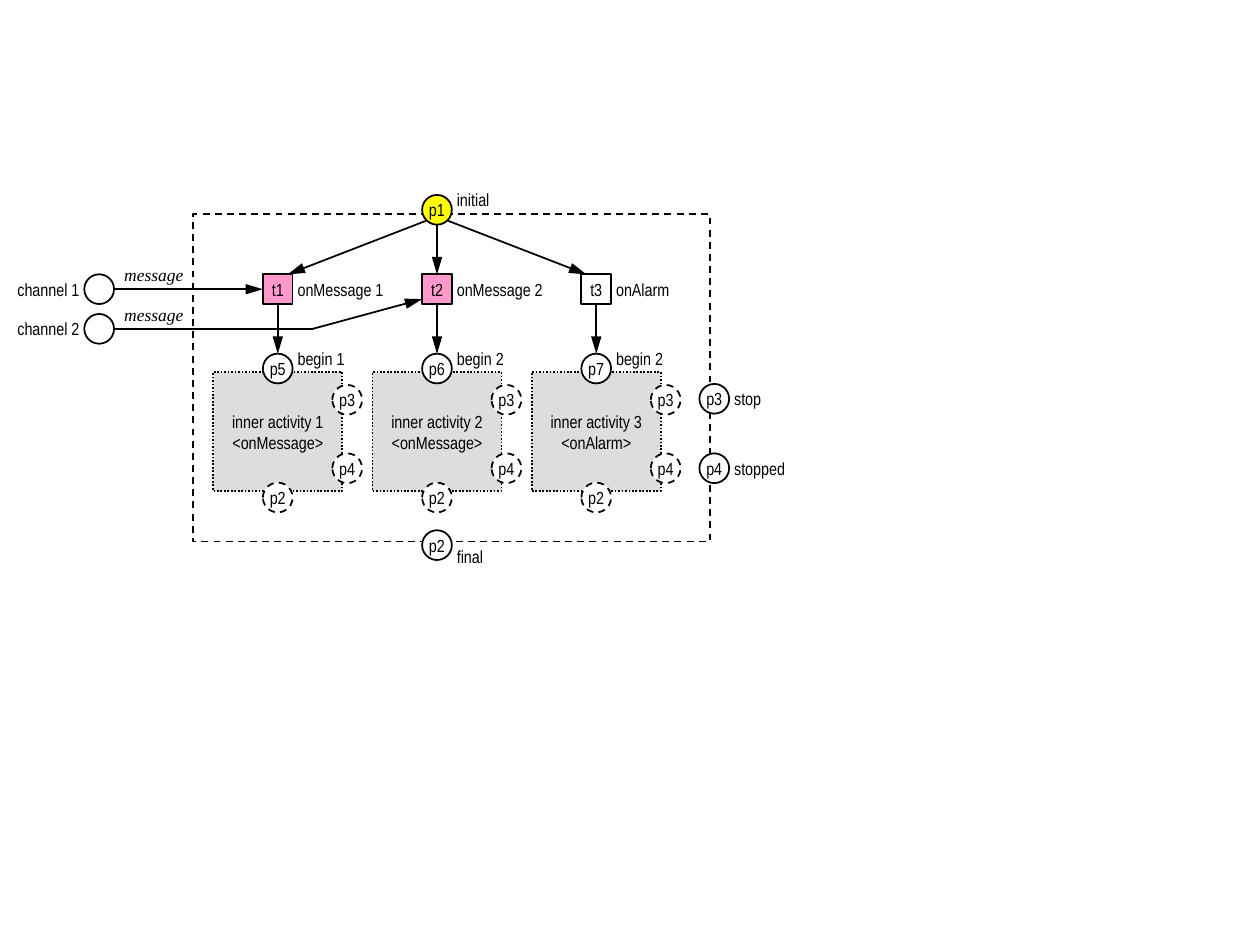
from lxml import etree
from pptx import Presentation
from pptx import util as u
from pptx.dml.color import RGBColor
from pptx.enum import dml, shapes, text
from pptx.oxml.ns import qn

COLORS = {"ink": "000000", "white": "FFFFFF", "start": "FFFF00",
          "message": "FF99CC", "activity": "DDDDDD"}
NODE = 0.6
RECTANGLE, OVAL = shapes.MSO_SHAPE.RECTANGLE, shapes.MSO_SHAPE.OVAL
DASH, DOTS = dml.MSO_LINE.DASH, dml.MSO_LINE.ROUND_DOT
ALIGN = text.PP_ALIGN

presentation = Presentation()
presentation.slide_width, presentation.slide_height = u.Cm(25.4), u.Cm(19.05)
slide = presentation.slides.add_slide(presentation.slide_layouts[6])


def add_box(kind, x, y, caption="", fill="white", dash=None, width=NODE, height=NODE):
    """Add an outlined shape centred on (x, y)."""
    shape = slide.shapes.add_shape(kind, u.Cm(x - width / 2), u.Cm(y - height / 2),
                                   u.Cm(width), u.Cm(height))
    shape.shadow.inherit = False
    if fill:
        shape.fill.solid()
        shape.fill.fore_color.rgb = RGBColor.from_string(COLORS[fill])
    else:
        shape.fill.background()
    shape.line.color.rgb = RGBColor.from_string(COLORS["ink"])
    shape.line.width = u.Pt(1)
    if dash:
        shape.line.dash_style = dash
    if caption:
        frame = shape.text_frame
        frame.word_wrap = False
        frame.vertical_anchor = text.MSO_ANCHOR.MIDDLE
        frame.text = caption
        paragraph = frame.paragraphs[0]
        paragraph.alignment = ALIGN.CENTER
        paragraph.font.name, paragraph.font.size = "Arial Narrow", u.Pt(10)
        paragraph.font.color.rgb = RGBColor.from_string(COLORS["ink"])
    return shape


def add_line(start, end, arrow=True):
    line = slide.shapes.add_connector(shapes.MSO_CONNECTOR.STRAIGHT,
                                      *[u.Cm(value) for value in (*start, *end)])
    line.line.color.rgb = RGBColor.from_string(COLORS["ink"])
    line.line.width = u.Pt(1)
    if arrow:
        etree.SubElement(line.line._get_or_add_ln(), qn("a:tailEnd"),
                         type="triangle", w="med", len="lg")
    etree.SubElement(line._element.spPr, qn("a:effectLst"))
    return line


# Centres of the columns and rows
columns = [5.6, 8.81, 12.02]
middle = columns[1]
start_y, transition_y, begin_y, final_y = 4.23, 5.83, 7.43, 10.99
channel_x, channel_rows = 2.0, [transition_y, 6.63]
outer_x, stop_y, stopped_y = 14.4, 8.04, 9.44

add_box(RECTANGLE, 9.1, 7.62, fill=None, dash=DASH, width=10.42, height=6.6)
add_box(OVAL, middle, start_y, "p1", "start")
add_box(OVAL, middle, final_y, "p2")
add_box(OVAL, outer_x, stop_y, "p3")
add_box(OVAL, outer_x, stopped_y, "p4")

# One branch per column: transition, begin place and inner activity
branches = [("t1", "message", "p5", "inner activity 1\v<onMessage>"),
            ("t2", "message", "p6", "inner activity 2\v<onMessage>"),
            ("t3", "white", "p7", "inner activity 3\v<onAlarm>")]
transitions = []
for x, (transition_name, fill, place_name, activity) in zip(columns, branches):
    transition = add_box(RECTANGLE, x, transition_y, transition_name, fill)
    transitions.append(transition)
    add_box(RECTANGLE, x, 8.7, activity, "activity", DOTS, 2.6, 2.4)
    add_box(OVAL, x, 10.03, "p2", dash=DASH)
    add_box(OVAL, x + 1.4, stopped_y, "p4", dash=DASH)
    add_box(OVAL, x + 1.4, stop_y + 0.02, "p3", dash=DASH)
    place = add_box(OVAL, x, begin_y, place_name)
    arrow = add_line((x, transition_y + NODE / 2), (x, begin_y - NODE / 2))
    arrow.begin_connect(transition, 2)
    arrow.end_connect(place, 0)

# From the initial place to the transitions
for side, x in ((-1, columns[0]), (1, columns[2])):
    add_line((middle + side * 0.22, start_y + 0.22),
             (x - side * 0.2, transition_y - NODE / 2))
add_line((middle, start_y + NODE / 2),
         (middle, transition_y - NODE / 2)).end_connect(transitions[1], 0)

# From the channels to the transitions
for y in channel_rows:
    add_box(OVAL, channel_x, y)
channel_edge = channel_x + NODE / 2
add_line((channel_edge, channel_rows[0]),
         (columns[0] - NODE / 2, transition_y)).end_connect(transitions[0], 1)
bend = (6.3, channel_rows[1])
add_line((channel_edge, channel_rows[1]), bend, arrow=False)
add_line(bend, (middle - NODE / 2, 6.03))

# Labels: caption, left edge, vertical centre, width, alignment
beside = NODE / 2
labels = [("initial", middle + beside, 4.03, 2, ALIGN.LEFT),
          ("final", middle + beside, 11.22, 2, ALIGN.LEFT),
          ("stop", outer_x + beside, stop_y, 2, ALIGN.LEFT),
          ("stopped", outer_x + beside, stopped_y, 2, ALIGN.LEFT)]
for x, event, begin in zip(columns, ("onMessage 1", "onMessage 2", "onAlarm"),
                           ("begin 1", "begin 2", "begin 2")):
    labels += [(event, x + beside, transition_y, 2, ALIGN.LEFT),
               (begin, x + beside, 7.23, 2, ALIGN.LEFT)]
for number, y in enumerate(channel_rows, 1):
    labels += [(f"channel {number}", 0.1, y, 1.6, ALIGN.RIGHT),
               ("message", 2.4, y - 0.29, 1.4, ALIGN.CENTER)]

for caption, left, y, width, alignment in labels:
    is_message = caption == "message"
    height, inset = (0.43, 0) if is_message else (NODE, 0.1)
    box = slide.shapes.add_textbox(u.Cm(left), u.Cm(y - height / 2),
                                   u.Cm(width), u.Cm(height))
    frame = box.text_frame
    frame.word_wrap = True
    frame.vertical_anchor = text.MSO_ANCHOR.MIDDLE
    frame.margin_left = frame.margin_right = u.Cm(inset)
    frame.margin_top = frame.margin_bottom = 0
    frame.text = caption
    paragraph = frame.paragraphs[0]
    paragraph.alignment = alignment
    paragraph.font.name = "Times New Roman" if is_message else "Arial Narrow"
    paragraph.font.size = u.Pt(10)
    paragraph.font.italic = is_message
    paragraph.font.color.rgb = RGBColor.from_string(COLORS["ink"])

presentation.save("out.pptx")
